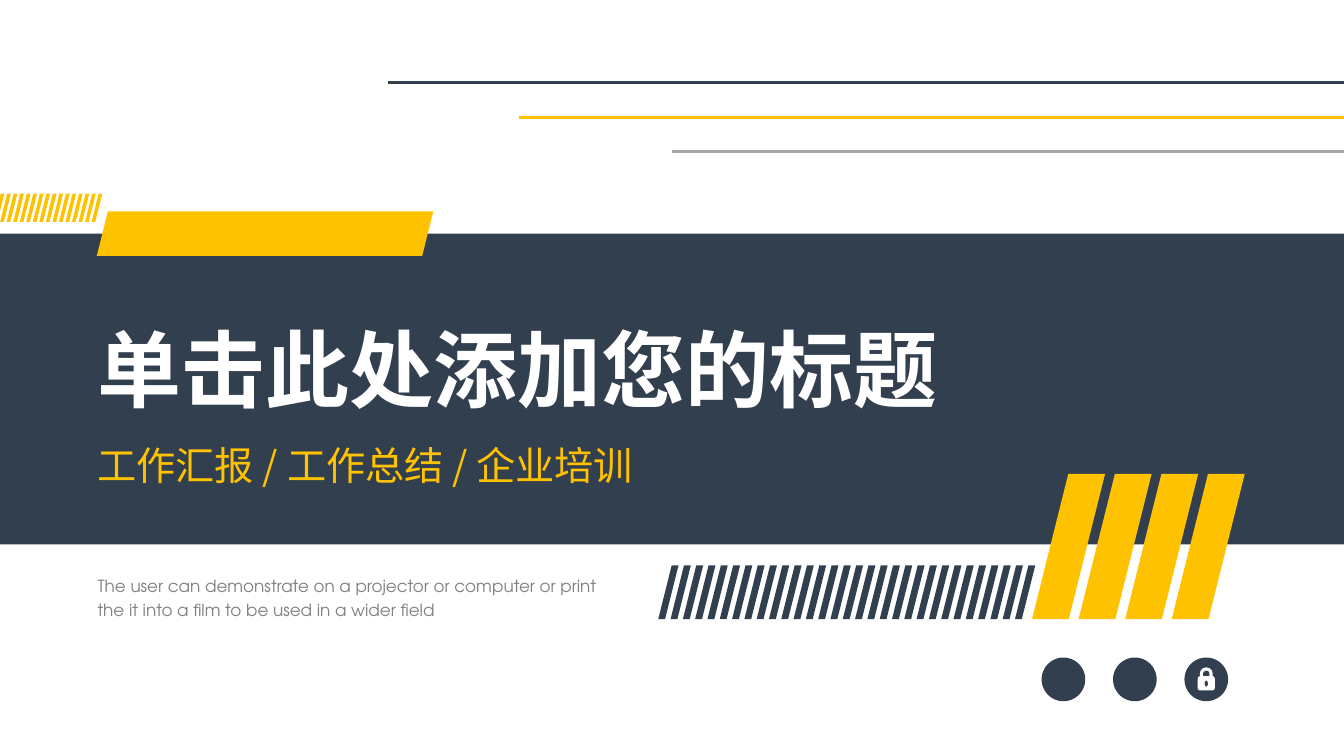
from lxml.etree import SubElement
from pptx import Presentation
from pptx.dml.color import RGBColor
from pptx.enum.shapes import MSO_CONNECTOR, MSO_SHAPE
from pptx.enum.text import MSO_ANCHOR, MSO_AUTO_SIZE, PP_ALIGN
from pptx.oxml.ns import qn
from pptx.util import Cm, Pt

NAVY, YELLOW, GRAY, WHITE = "323F4F", "FFC200", "A6A6A6", "FFFFFF"
HAN_FONT, LATIN_FONT = "Noto Sans CJK SC", "TeX Gyre Adventor"
SLIDE_WIDTH, SLIDE_HEIGHT = 33.87, 19.05


def paint(color_format, color):
    color_format.rgb = RGBColor.from_string(color)


def add_solid(page, kind, left, top, width, height, color):
    shape = page.shapes.add_shape(kind, Cm(left), Cm(top), Cm(width), Cm(height))
    shape.shadow.inherit = False
    shape.fill.solid()
    paint(shape.fill.fore_color, color)
    shape.line.fill.background()
    return shape


def add_slant(page, left, top, width, height, color):
    """Draw a parallelogram that leans by a quarter of its height."""
    slant = add_solid(page, MSO_SHAPE.PARALLELOGRAM, left, top, width, height, color)
    slant.adjustments[0] = height / 4 / min(width, height)


def add_stripes(page, count, first, last, top, width, height, color):
    step = (last - first) / (count - 1)
    for index in range(count):
        add_slant(page, first + index * step, top, width, height, color)


def add_rule(page, left, top, color):
    rule = page.shapes.add_connector(
        MSO_CONNECTOR.STRAIGHT, Cm(left), Cm(top), Cm(SLIDE_WIDTH), Cm(top))
    paint(rule.line.color, color)
    rule.line.width = Pt(2.25)
    SubElement(rule._element.spPr, qn("a:effectLst"))


def write_text(box, top, width, height, text, font, size, color, bold=False,
               align=PP_ALIGN.JUSTIFY):
    box.left, box.top, box.width, box.height = Cm(2.21), Cm(top), Cm(width), Cm(height)
    frame = box.text_frame
    frame.word_wrap = True
    frame.auto_size = MSO_AUTO_SIZE.SHAPE_TO_FIT_TEXT
    frame.vertical_anchor = MSO_ANCHOR.MIDDLE
    para = frame.paragraphs[0]
    para.alignment = align
    para.line_spacing = 1.2
    span = para.add_run()
    span.text = text
    span.font.name, span.font.size, span.font.bold = font, Pt(size), bold
    paint(span.font.color, color)
    SubElement(span.font._element, qn("a:ea"), typeface=font)


def add_text_box(page):
    return page.shapes.add_textbox(0, 0, 0, 0)


def add_badge(page, center, middle):
    add_solid(page, MSO_SHAPE.OVAL, center - 0.55, middle - 0.55, 1.1, 1.1, NAVY)


def add_lock(page, center, middle):
    for kind, rise, width, height, color in (
        (MSO_SHAPE.ROUND_2_SAME_RECTANGLE, -0.3, 0.32, 0.3, WHITE),
        (MSO_SHAPE.ROUND_2_SAME_RECTANGLE, -0.22, 0.16, 0.2, NAVY),
        (MSO_SHAPE.ROUNDED_RECTANGLE, -0.08, 0.43, 0.36, WHITE),
        (MSO_SHAPE.OVAL, 0.03, 0.08, 0.15, NAVY),
    ):
        part = add_solid(page, kind, center - width / 2, middle + rise, width, height, color)
        if kind == MSO_SHAPE.ROUND_2_SAME_RECTANGLE:
            part.adjustments[0] = 0.5


def main():
    deck = Presentation()
    deck.slide_width, deck.slide_height = Cm(SLIDE_WIDTH), Cm(SLIDE_HEIGHT)
    page = deck.slides.add_slide(deck.slide_layouts[5])

    add_solid(page, MSO_SHAPE.RECTANGLE, 0, 5.89, SLIDE_WIDTH, 7.83, NAVY)
    for left, top, color in ((9.78, 2.08, NAVY), (13.08, 2.95, YELLOW), (16.94, 3.81, GRAY)):
        add_rule(page, left, top, color)
    add_slant(page, 2.44, 5.33, 8.48, 1.12, YELLOW)
    add_stripes(page, 4, 26.01, 29.53, 11.94, 1.84, 3.66, YELLOW)
    add_stripes(page, 30, 16.59, 25.58, 14.25, 0.51, 1.35, NAVY)
    add_stripes(page, 16, -0.16, 2.31, 4.88, 0.27, 0.71, YELLOW)

    title = page.shapes.title
    page.shapes._spTree.append(title._element)
    write_text(title, 7.47, 24.38, 3.07, "单击此处添加您的标题", HAN_FONT, 60, WHITE, bold=True)
    write_text(add_text_box(page), 10.8, 18.59, 1.57,
               "工作汇报 / 工作总结 / 企业培训", HAN_FONT, 28, YELLOW)
    write_text(add_text_box(page), 14.3, 13.28, 1.42,
               "The user can demonstrate on a projector or computer or print "
               "the it into a film to be used in a wider field",
               LATIN_FONT, 12, "808080", align=PP_ALIGN.LEFT)

    for center in (26.8, 28.6, 30.4):
        add_badge(page, center, 17.12)
    add_lock(page, 30.4, 17.12)
    deck.save("out.pptx")


if __name__ == "__main__":
    main()
